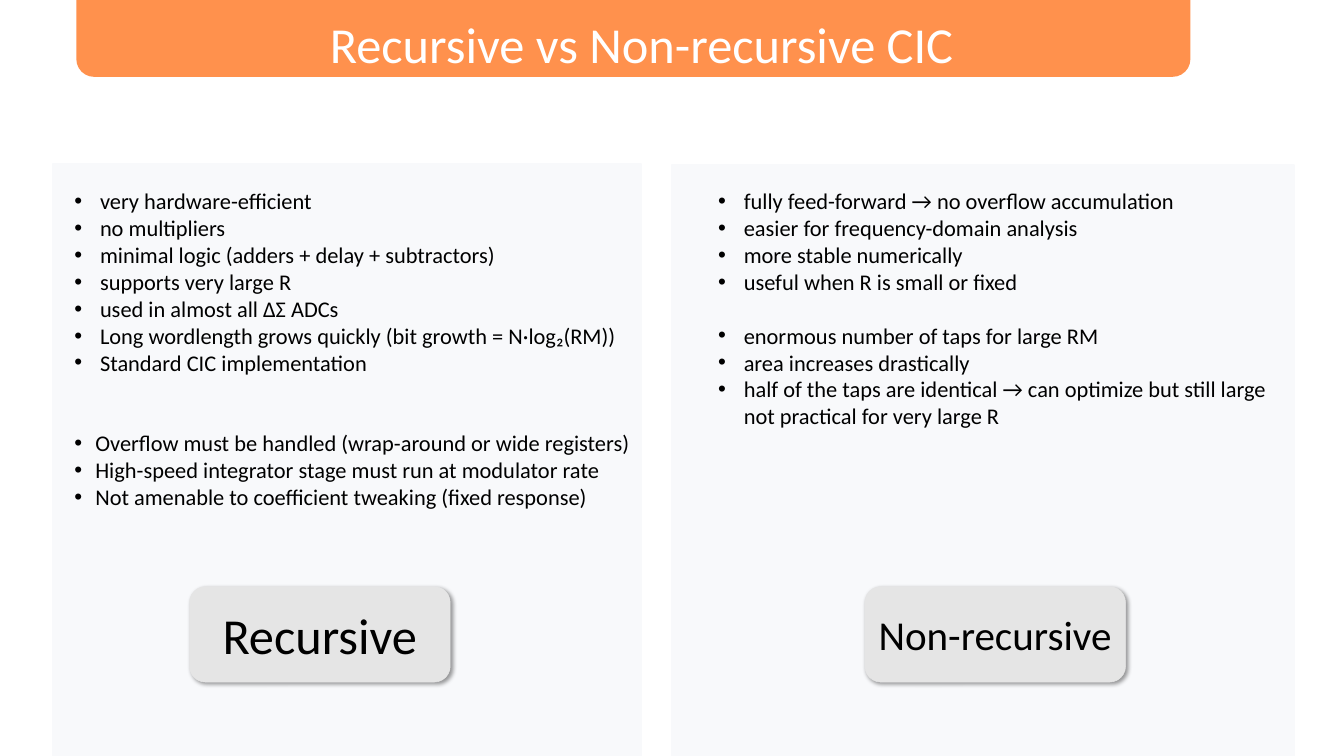
"""Build a slide comparing recursive and non-recursive CIC filters."""
import lxml.etree
import pptx
import pptx.dml.color
import pptx.enum.shapes
import pptx.enum.text
import pptx.oxml.ns
import pptx.util

Inches, Pt = pptx.util.Inches, pptx.util.Pt
SHAPES = pptx.enum.shapes.MSO_SHAPE
ALIGN = pptx.enum.text.PP_ALIGN
qn = pptx.oxml.ns.qn
COLORS = {"banner": "FF914D", "panel": "F8F9FB", "label": "E5E5E5",
          "text": "000000", "title": "FFFFFF"}

presentation = pptx.Presentation()
presentation.slide_width, presentation.slide_height = Inches(20), Inches(11.25)
slide = presentation.slides.add_slide(presentation.slide_layouts[5])


def add_block(kind, bounds, color, line_width):
    block = slide.shapes.add_shape(kind, *map(Inches, bounds))
    block.shadow.inherit = False
    block.fill.solid()
    for ink in (block.fill.fore_color, block.line.color):
        ink.rgb = pptx.dml.color.RGBColor.from_string(COLORS[color])
    block.line.width = Pt(line_width)
    return block


def write(paragraph, text, size, color="text"):
    paragraph.text = text
    for run in paragraph.runs:
        for attribute, value in {"name": "Calibri", "size": Pt(size)}.items():
            setattr(run.font, attribute, value)
        run.font.color.rgb = pptx.dml.color.RGBColor.from_string(COLORS[color])


columns = [
    {"panel": (0.79, 2.44, 8.75, 8.84), "points": (1.01, 2.74, 8.52, 5.35),
     "label": "Recursive", "label_left": 2.82, "label_size": 54,
     "groups": [(0.38, 0, [
         "very hardware-efficient",
         "no multipliers",
         "minimal logic (adders + delay + subtractors)",
         "supports very large R",
         "used in almost all ΔΣ ADCs",
         "Long wordlength grows quickly (bit growth = N·log₂(RM))",
         "Standard CIC implementation"]),
         (0.31, 57.6, [
             "Overflow must be handled (wrap-around or wide registers)",
             "High-speed integrator stage must run at modulator rate",
             "Not amenable to coefficient tweaking (fixed response)"])]},
    {"panel": (10, 2.45, 9.25, 8.82), "points": (10.59, 2.74, 8.43, 3.74),
     "label": "Non-recursive", "label_left": 12.87, "label_size": 44,
     "groups": [(0.38, 0, [
         "fully feed-forward → no overflow accumulation",
         "easier for frequency-domain analysis",
         "more stable numerically",
         "useful when R is small or fixed"]),
         (0.38, 28.8, [
             "enormous number of taps for large RM",
             "area increases drastically",
             "half of the taps are identical → can optimize but still large\n"
             "not practical for very large R"])]},
]

for column in columns:
    add_block(SHAPES.RECTANGLE, column["panel"], "panel", 2)

    label = add_block(SHAPES.ROUNDED_RECTANGLE,
                      (column["label_left"], 8.73, 3.88, 1.42), "label", 0.5)
    effects = label._element.spPr.find(qn("a:effectLst"))
    shadow = lxml.etree.SubElement(
        effects, qn("a:outerShdw"), blurRad=str(Pt(5)), dist=str(Pt(3)),
        dir="2700000", algn="tl", rotWithShape="0")
    shade = lxml.etree.SubElement(shadow, qn("a:srgbClr"), val=COLORS["text"])
    lxml.etree.SubElement(shade, qn("a:alpha"), val="40000")
    label.text_frame.word_wrap = False
    label.text_frame.vertical_anchor = pptx.enum.text.MSO_ANCHOR.MIDDLE
    heading = label.text_frame.paragraphs[0]
    heading.alignment = ALIGN.CENTER
    write(heading, column["label"], column["label_size"])

    points = slide.shapes.add_textbox(*map(Inches, column["points"])).text_frame
    points.word_wrap = True
    point = points.paragraphs[0]
    for indent, gap, texts in column["groups"]:
        for index, text in enumerate(texts):
            if point.text:
                point = points.add_paragraph()
            properties = point._p.get_or_add_pPr()
            properties.set("marL", str(Inches(indent)))
            properties.set("indent", str(-Inches(indent)))
            lxml.etree.SubElement(properties, qn("a:buFont"), typeface="Arial")
            lxml.etree.SubElement(properties, qn("a:buChar"), char="•")
            if gap and index == 0:
                point.space_before = Pt(gap)
            write(point, text, 24)

add_block(SHAPES.ROUNDED_RECTANGLE, (1.15, -0.37, 16.55, 1.5), "banner", 2)

title = slide.shapes.title
slide.shapes._spTree.append(title._element)
for attribute, value in {"left": 1.12, "top": 0.15, "width": 16.86, "height": 1.35}.items():
    setattr(title, attribute, Inches(value))
for attribute, value in {"word_wrap": True,
                         "auto_size": pptx.enum.text.MSO_AUTO_SIZE.NONE,
                         "vertical_anchor": pptx.enum.text.MSO_ANCHOR.TOP}.items():
    setattr(title.text_frame, attribute, value)
title.text_frame.paragraphs[0].alignment = ALIGN.CENTER
write(title.text_frame.paragraphs[0], "Recursive vs Non-recursive CIC", 54, "title")

presentation.save("out.pptx")
